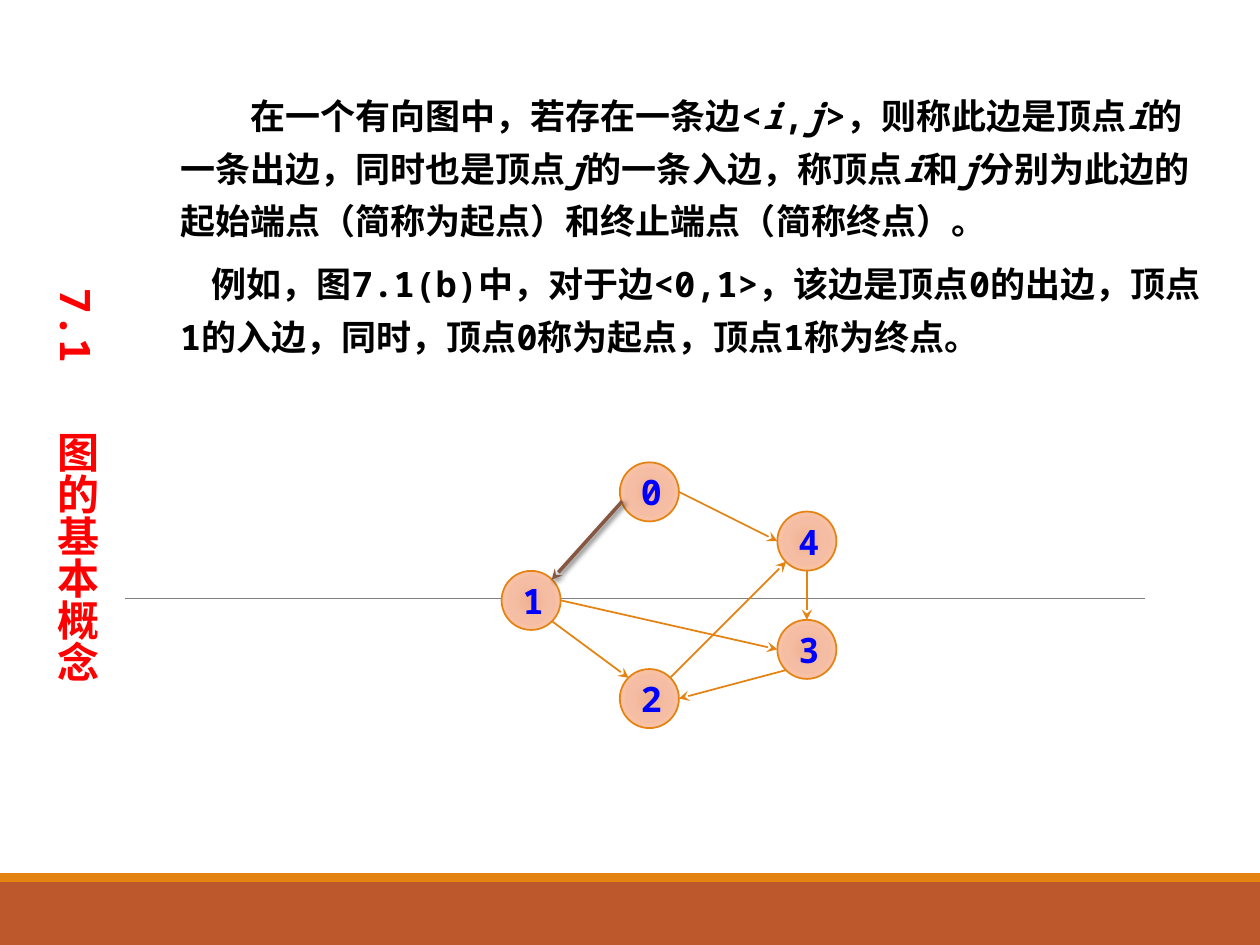
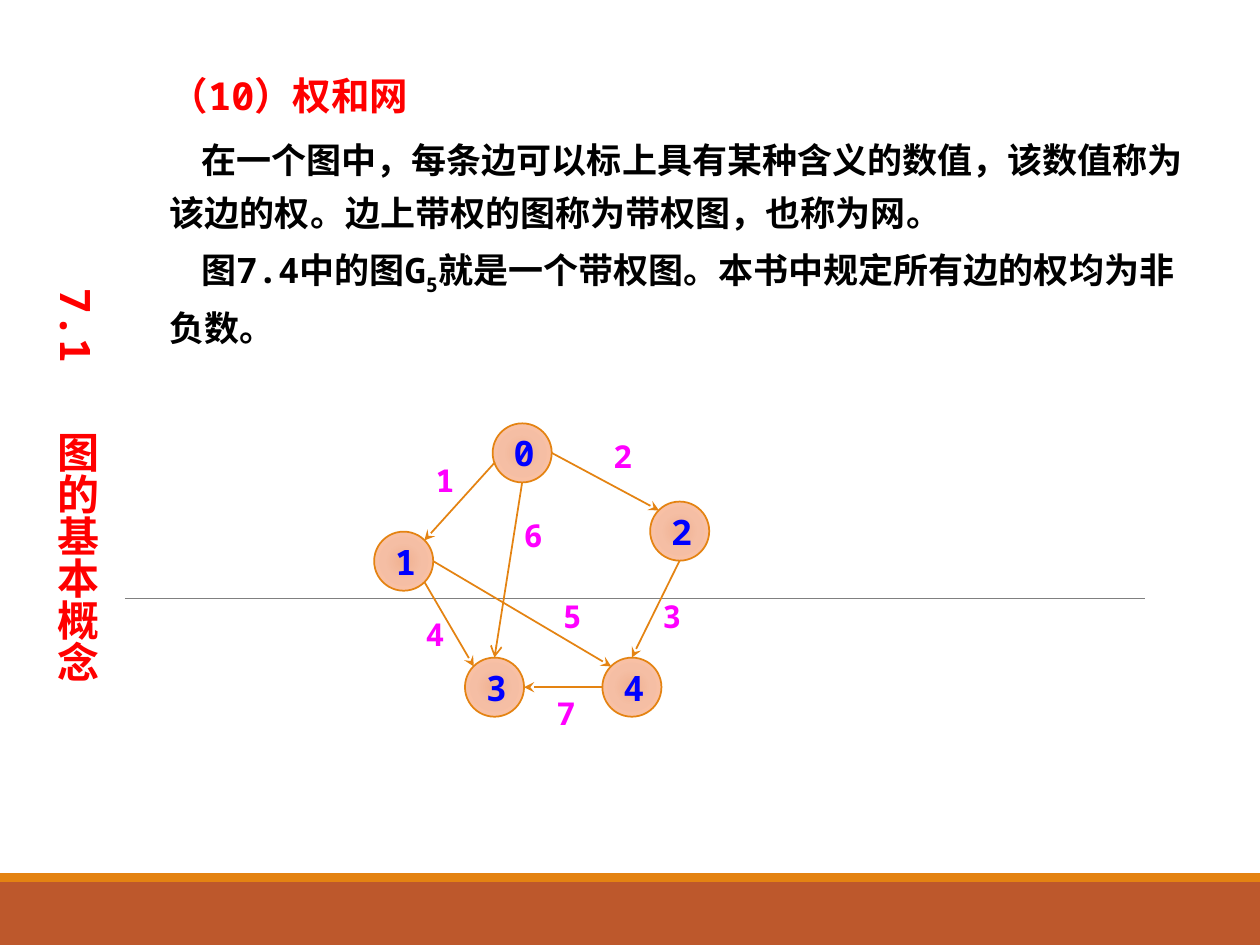
from lxml import etree
from pptx import Presentation
from pptx.dml.color import RGBColor
from pptx.enum.shapes import MSO_CONNECTOR, MSO_SHAPE
from pptx.enum.text import MSO_ANCHOR, PP_ALIGN
from pptx.oxml import parse_xml
from pptx.oxml.ns import qn
from pptx.util import Pt

LINE = MSO_CONNECTOR.STRAIGHT
RECT = MSO_SHAPE.RECTANGLE
OVAL = MSO_SHAPE.OVAL
MIDDLE = MSO_ANCHOR.MIDDLE
CENTER = PP_ALIGN.CENTER

NS = 'xmlns:a="http://schemas.openxmlformats.org/drawingml/2006/main"'
FACE = "Noto Sans Mono"
BLACK, RED, BLUE, PINK = "000000", "FF0000", "0000FF", "FF00FF"
RUST, AMBER, BROWN, GREY = "BD582C", "E48312", "865640", "808080"
STOPS = [(0, "F0B191"), (45, "F5BEA4"), (100, "FDC3A8")]
SIZE = 33.75
SITES = {
    "n": (0.5, 0), "nw": (0.15, 0.15), "w": (0, 0.5), "sw": (0.15, 0.85),
    "s": (0.5, 1), "se": (0.85, 0.85), "e": (1, 0.5), "ne": (0.85, 0.15),
    "wsw": (0.04, 0.66),
}


def color(code):
    return RGBColor.from_string(code)


def add_run(para, text, size, code, slant=False, base=0):
    run = para.add_run()
    run.text = text
    font = run.font
    font.name, font.size, font.bold = FACE, Pt(size), True
    font.italic = slant
    font.color.rgb = color(code)
    props = run._r.get_or_add_rPr()
    etree.SubElement(props, qn("a:ea")).set("typeface", FACE)
    if base:
        props.set("baseline", str(base * 1000))


def add_box(slide, left, top, width, height):
    box = slide.shapes.add_textbox(Pt(left), Pt(top), Pt(width), Pt(height))
    box.text_frame.word_wrap = True
    return box.text_frame


def add_body(slide, left, top, width, height, paras):
    frame = add_box(slide, left, top, width, height)
    for pos, (indent, size, code, runs) in enumerate(paras):
        para = frame.add_paragraph() if pos else frame.paragraphs[0]
        para.line_spacing = Pt(30)
        if pos:
            para.space_before = Pt(6)
        props = para._p.get_or_add_pPr()
        props.set("marL", "0")
        props.set("indent", str(Pt(indent)))
        for text, *style in runs:
            add_run(para, text, size, code, *style)


def add_band(slide, top, height, code):
    band = slide.shapes.add_shape(RECT, 0, Pt(top), Pt(720), Pt(height))
    band.shadow.inherit = False
    band.fill.solid()
    band.fill.fore_color.rgb = color(code)
    band.line.fill.background()


def add_line(slide, start, end, code, width, head=None, shade=False):
    ends = [Pt(num) for num in (*start, *end)]
    link = slide.shapes.add_connector(LINE, *ends)
    link.line.color.rgb = color(code)
    link.line.width = Pt(width)
    if head:
        tail = etree.SubElement(link.line._get_or_add_ln(), qn("a:tailEnd"))
        tail.set("type", head)
    fx = etree.SubElement(link._element.spPr, qn("a:effectLst"))
    if shade:
        fx.append(parse_xml(
            f'<a:outerShdw {NS} blurRad="{Pt(3)}" dist="{Pt(2)}" dir="2700000">'
            f'<a:srgbClr val="{BLACK}"><a:alpha val="60000"/></a:srgbClr>'
            '</a:outerShdw>'))


def add_node(slide, left, top, name):
    node = slide.shapes.add_shape(OVAL, Pt(left), Pt(top), Pt(SIZE), Pt(SIZE))
    node.shadow.inherit = False
    node.line.color.rgb = color(AMBER)
    node.line.width = Pt(1)
    stops = "".join(f'<a:gs pos="{at * 1000}"><a:srgbClr val="{code}"/></a:gs>'
                    for at, code in STOPS)
    grad = parse_xml(
        f'<a:gradFill {NS} rotWithShape="1"><a:gsLst>{stops}</a:gsLst>'
        '<a:path path="circle"><a:fillToRect l="100000" t="100000" '
        'r="100000" b="100000"/></a:path></a:gradFill>')
    node._element.spPr.find(qn("a:prstGeom")).addnext(grad)
    frame = node.text_frame
    frame.vertical_anchor = MIDDLE
    para = frame.paragraphs[0]
    para.alignment = CENTER
    add_run(para, name, 20, BLUE)


def add_graph(slide, nodes, edges):
    for name, (left, top) in nodes.items():
        add_node(slide, left, top, name)

    def point(name, site):
        return [at + part * SIZE for at, part in zip(nodes[name], SITES[site])]

    for tail, out, tip, into, *style in edges:
        look = style or (AMBER, 1, "stealth")
        add_line(slide, point(tail, out), point(tip, into), *look)


def add_weight(slide, left, top, text):
    frame = add_box(slide, left, top, 16.6, 28.8)
    add_run(frame.paragraphs[0], text, 18, PINK)


def add_title(slide):
    frame = add_box(slide, 18, 157.7, 43.9, 247.7)
    frame._txBody.bodyPr.set("vert", "eaVert")
    para = frame.paragraphs[0]
    tabs = etree.SubElement(para._p.get_or_add_pPr(), qn("a:tabLst"))
    stop = etree.SubElement(tabs, qn("a:tab"))
    stop.set("pos", str(Pt(82)))
    stop.set("algn", "l")
    add_run(para, "7.1\t图的基本概念", 24, RED)


def add_slide(deck):
    slide = deck.slides.add_slide(deck.slide_layouts[6])
    add_band(slide, 504, 36, RUST)
    add_band(slide, 499, 5, AMBER)
    add_line(slide, (71.3, 342), (654.5, 342), GREY, 0.5)
    add_title(slide)
    return slide


def add_ends(deck):
    slide = add_slide(deck)
    add_body(slide, 95.8, 44.6, 599, 165, [
        (40, 20, BLACK, [
            ("在一个有向图中，若存在一条边<",), ("i", True), (",",), ("j", True),
            (">，则称此边是顶点",), ("i", True),
            ("的一条出边，同时也是顶点",), ("j", True),
            ("的一条入边，称顶点",), ("i", True), ("和",), ("j", True),
            ("分别为此边的起始端点（简称为起点）和终止端点（简称终点）。",)]),
        (18, 20, BLACK, [
            ("例如，图7.1(b)中，对于边<0,1>，该边是顶点0的出边，"
             "顶点1的入边，同时，顶点0称为起点，顶点1称为终点。",)]),
    ])
    nodes = {"0": (354.2, 264.2), "1": (286.6, 326.2), "2": (354.2, 382.3),
             "4": (444.2, 292.3), "3": (444.2, 354.2)}
    add_graph(slide, nodes, [
        ("0", "e", "4", "w"),
        ("4", "s", "3", "n"),
        ("0", "wsw", "1", "ne", BROWN, 2, "stealth", True),
        ("1", "se", "2", "nw"),
        ("1", "e", "3", "w"),
        ("3", "sw", "2", "e"),
        ("2", "ne", "4", "sw"),
    ])


def add_net(deck):
    slide = add_slide(deck)
    add_body(slide, 90, 33.8, 593.3, 170.6, [
        (0, 22, RED, [("（10）权和网",)]),
        (18, 20, BLACK, [
            ("在一个图中，每条边可以标上具有某种含义的数值，该数值称为该边的权。"
             "边上带权的图称为带权图，也称为网。",)]),
        (18, 20, BLACK, [
            ("图7.4中的图G",), ("5", False, -25),
            ("就是一个带权图。本书中规定所有边的权均为非负数。",)]),
    ])
    nodes = {"0": (281.5, 241.9), "1": (213.8, 303.8), "3": (265.7, 375.8),
             "2": (371.5, 286.6), "4": (344.2, 375.8)}
    add_graph(slide, nodes, [
        ("0", "e", "2", "nw"),
        ("2", "s", "4", "n"),
        ("0", "wsw", "1", "ne"),
        ("1", "se", "3", "nw"),
        ("1", "e", "4", "nw"),
        ("4", "w", "3", "e"),
        ("0", "s", "3", "n", AMBER, 1, "arrow"),
    ])
    for left, top, text in [
            (241.9, 259.9, "1"), (236.2, 347.8, "4"), (292.3, 291.6, "6"),
            (343.4, 246.2, "2"), (371.5, 337.7, "3"), (311, 393.1, "7"),
            (314.6, 337.7, "5")]:
        add_weight(slide, left, top, text)


def main():
    deck = Presentation()
    deck.slide_width, deck.slide_height = Pt(720), Pt(540)
    add_ends(deck)
    add_net(deck)
    deck.save("out.pptx")


if __name__ == "__main__":
    main()
